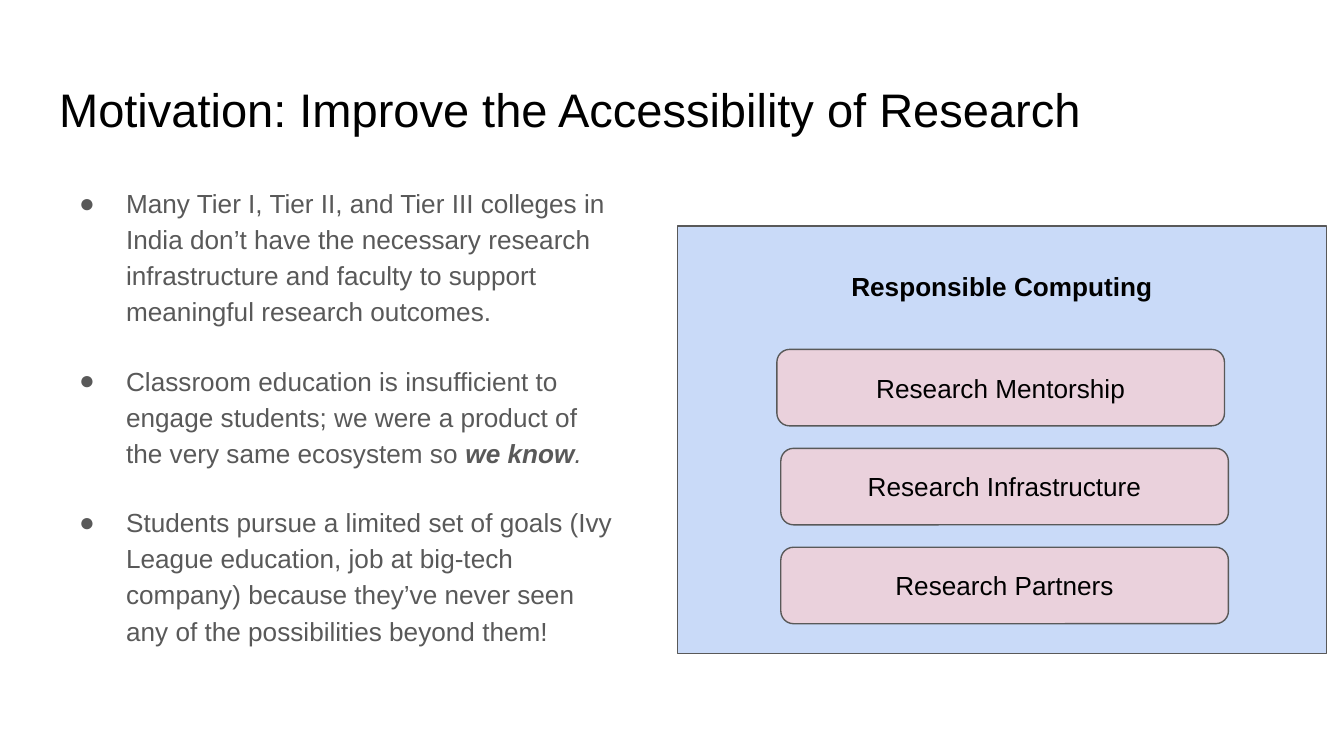
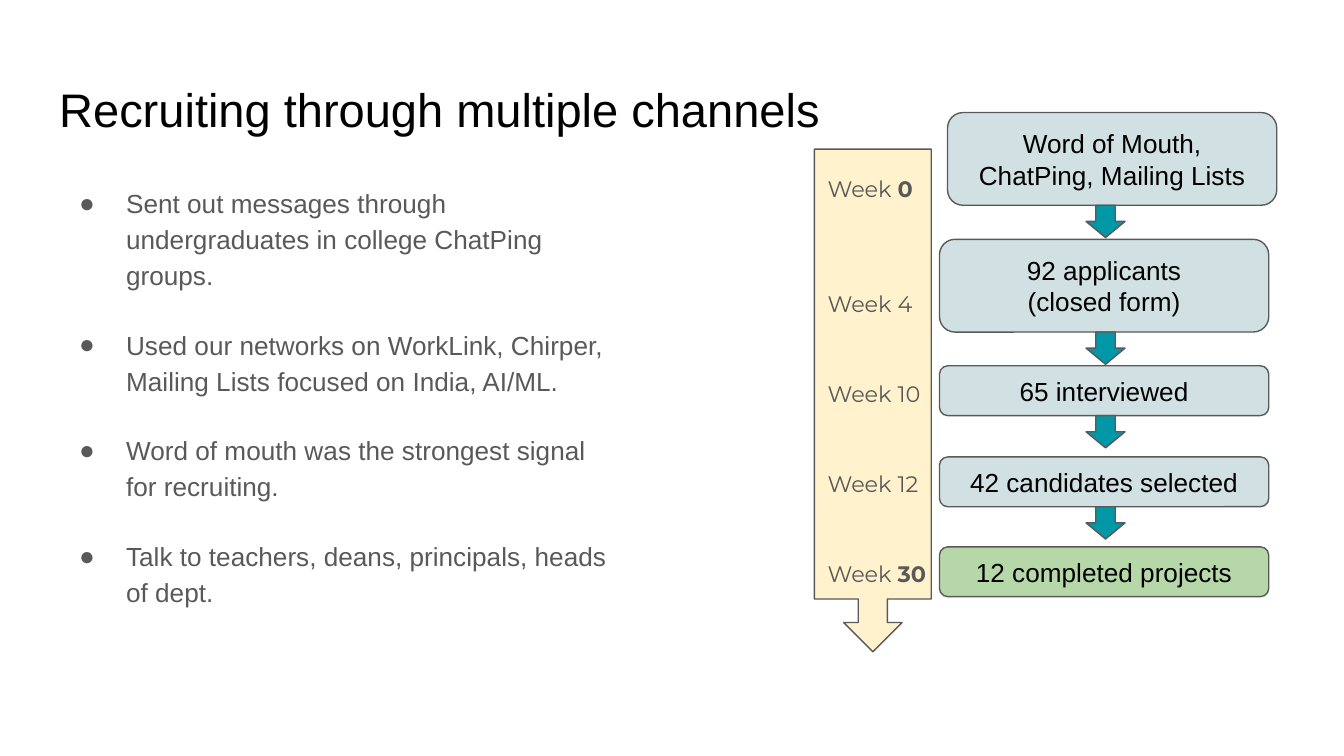
"""Builds two slides on research accessibility and participant recruiting."""
from dataclasses import dataclass

from lxml.etree import SubElement
from pptx import Presentation
from pptx.dml.color import RGBColor
from pptx.enum.shapes import MSO_SHAPE as Preset
from pptx.enum.text import MSO_ANCHOR as Anchor, MSO_AUTO_SIZE as AutoSize, PP_ALIGN as Align
from pptx.oxml.ns import qn
from pptx.util import Pt


@dataclass(frozen=True)
class Theme:
    font: str = "Arial"
    label_font: str = "Montserrat"
    title_size: float = 25.2
    body_size: float = 14
    label_size: float = 12
    ink: str = "000000"
    gray: str = "595959"
    panel: str = "C9DAF8"
    pillar: str = "EAD1DC"
    timeline: str = "FFF2CC"
    stage: str = "D0E0E3"
    finish: str = "B6D7A8"
    arrow: str = "0097A7"
    line_width: float = 0.75
    inset: float = 7.2


THEME = Theme()
TITLE_BOX = (24.5, 35.3, 671, 45.4)
BODY_BOX = (24.5, 90.7, 314.6, 269.3)
BULLET_INDENT, BULLET_HANG, BULLET_GAP = 36, 25.2, 18

MOTIVATION_TITLE = "Motivation: Improve the Accessibility of Research"
MOTIVATION_POINTS = [
    [("Many Tier I, Tier II, and Tier III colleges in India don’t have the necessary "
      "research infrastructure and faculty to support meaningful research outcomes.", "")],
    [("Classroom education is insufficient to engage students; we were a product of "
      "the very same ecosystem so ", ""), ("we know", "bi"), (".", "i")],
    [("Students pursue a limited set of goals (Ivy League education, job at big-tech "
      "company) because they’ve never seen any of the possibilities beyond them!", "")],
]
PANEL_TITLE = "Responsible Computing"
PANEL_BOX = (362.9, 121, 347.8, 229)
PANEL_TITLE_INSET = 24
PILLARS = [("Research Mentorship", 416.2), ("Research Infrastructure", 418.3),
           ("Research Partners", 418.3)]
PILLAR_TOP, PILLAR_STEP, PILLAR_WIDTH, PILLAR_HEIGHT = 187.2, 53, 239.8, 41

RECRUITING_TITLE = "Recruiting through multiple channels"
RECRUITING_POINTS = [
    [("Sent out messages through undergraduates in college ChatPing groups.", "")],
    [("Used our networks on WorkLink, Chirper, Mailing Lists focused on India, AI/ML.", "")],
    [("Word of mouth was the strongest signal for recruiting.", "")],
    [("Talk to teachers, deans, principals, heads of dept.", "")],
]
TIMELINE_BOX = (436.3, 79.9, 62.6, 269.3)
TIMELINE_ADJUSTMENTS = (0.25, 0.25, 0.25, 0.895)
WEEKS = [
    ([("Week ", ""), ("0", "b")], 86.4),
    ([("Week 4", "")], 148.3),
    ([("Week 10", "")], 196.6),
    ([("Week 12", "")], 244.8),
    ([("Week ", ""), ("30", "b")], 293),
]
WEEK_WIDTH, WEEK_HEIGHT = 98.6, 35.3
STAGES = [
    ("Word of Mouth, ChatPing, Mailing Lists", 507.6, 60.3, 49.7),
    ("92 applicants\n(closed form)", 503.3, 128.2, 49.7),
    ("65 interviewed", 503.3, 196, 26.7),
    ("42 candidates selected", 503.3, 244.8, 26.7),
    ("12 completed projects", 503.3, 293, 26.7),
]
STAGE_WIDTH = 176.4
ARROW_LEFT, ARROW_WIDTH, ARROW_HEIGHT = 581.8, 20.9, 17.3


def points(box):
    """Convert a box of numbers to lengths."""
    return [Pt(value) for value in box]


def format_run(run, size, color, font=THEME.font, style=""):
    """Give a run its font, size, colour and emphasis."""
    run.font.name = font
    run.font.size = Pt(size)
    run.font.color.rgb = RGBColor.from_string(color)
    run.font.bold = "b" in style
    run.font.italic = "i" in style


def prepare_frame(frame, anchor=Anchor.TOP):
    """Set insets, wrapping and anchor of a text frame."""
    frame.word_wrap = True
    frame.auto_size = AutoSize.NONE
    frame.vertical_anchor = anchor
    frame.margin_left = frame.margin_right = Pt(THEME.inset)
    frame.margin_top = frame.margin_bottom = Pt(THEME.inset)


def add_runs(paragraph, runs, size, font):
    """Write styled pieces of gray text into a paragraph."""
    for text, style in runs:
        run = paragraph.add_run()
        run.text = text
        format_run(run, size, THEME.gray, font, style)


def add_block(slide, preset, box, fill, text="", style="", anchor=Anchor.MIDDLE):
    """Draw an outlined preset shape with centred text."""
    shape = slide.shapes.add_shape(preset, *points(box))
    shape.shadow.inherit = False
    shape.fill.solid()
    shape.fill.fore_color.rgb = RGBColor.from_string(fill)
    shape.line.color.rgb = RGBColor.from_string(THEME.gray)
    shape.line.width = Pt(THEME.line_width)
    if text:
        prepare_frame(shape.text_frame, anchor)
        shape.text_frame.text = text
        for paragraph in shape.text_frame.paragraphs:
            paragraph.alignment = Align.CENTER
            format_run(paragraph.runs[0], THEME.body_size, THEME.ink, style=style)
    return shape


def add_bullet(paragraph):
    """Give a paragraph a hanging round bullet."""
    properties = paragraph._p.get_or_add_pPr()
    properties.set("marL", str(Pt(BULLET_INDENT)))
    properties.set("indent", str(-Pt(BULLET_HANG)))
    color = SubElement(properties, qn("a:buClr"))
    SubElement(color, qn("a:srgbClr"), val=THEME.gray)
    SubElement(properties, qn("a:buFont"), typeface=THEME.font)
    SubElement(properties, qn("a:buChar"), char="●")


def add_text_slide(presentation, title, bullets):
    """Add a slide with its title and bulleted text."""
    slide = presentation.slides.add_slide(presentation.slide_layouts[5])
    heading = slide.shapes.title
    heading.left, heading.top, heading.width, heading.height = points(TITLE_BOX)
    prepare_frame(heading.text_frame, Anchor.MIDDLE)
    heading.text_frame.text = title
    paragraph = heading.text_frame.paragraphs[0]
    paragraph.alignment = Align.LEFT
    format_run(paragraph.runs[0], THEME.title_size, THEME.ink)

    frame = slide.shapes.add_textbox(*points(BODY_BOX)).text_frame
    prepare_frame(frame)
    for index, runs in enumerate(bullets):
        paragraph = frame.add_paragraph() if index else frame.paragraphs[0]
        add_bullet(paragraph)
        paragraph.line_spacing = 1.15
        paragraph.space_before = Pt(BULLET_GAP if index else 0)
        add_runs(paragraph, runs, THEME.body_size, THEME.font)
    return slide


def build_motivation(presentation):
    """Build the slide with the panel of research pillars."""
    slide = add_text_slide(presentation, MOTIVATION_TITLE, MOTIVATION_POINTS)
    panel = add_block(slide, Preset.RECTANGLE, PANEL_BOX, THEME.panel,
                      PANEL_TITLE, "b", Anchor.TOP)
    panel.text_frame.margin_top = Pt(PANEL_TITLE_INSET)
    for index, (text, left) in enumerate(PILLARS):
        box = (left, PILLAR_TOP + index * PILLAR_STEP, PILLAR_WIDTH, PILLAR_HEIGHT)
        add_block(slide, Preset.ROUNDED_RECTANGLE, box, THEME.pillar, text)


def build_recruiting(presentation):
    """Build the slide with the timeline and recruiting funnel."""
    slide = add_text_slide(presentation, RECRUITING_TITLE, RECRUITING_POINTS)
    timeline = add_block(slide, Preset.DOWN_ARROW_CALLOUT, TIMELINE_BOX, THEME.timeline)
    for index, value in enumerate(TIMELINE_ADJUSTMENTS):
        timeline.adjustments[index] = value
    for runs, top in WEEKS:
        box = (TIMELINE_BOX[0], top, WEEK_WIDTH, WEEK_HEIGHT)
        frame = slide.shapes.add_textbox(*points(box)).text_frame
        prepare_frame(frame)
        add_runs(frame.paragraphs[0], runs, THEME.label_size, THEME.label_font)
    for index, (text, left, top, height) in enumerate(STAGES):
        is_last = index == len(STAGES) - 1
        add_block(slide, Preset.ROUNDED_RECTANGLE, (left, top, STAGE_WIDTH, height),
                  THEME.finish if is_last else THEME.stage, text)
        if not is_last:
            arrow_box = (ARROW_LEFT, top + height, ARROW_WIDTH, ARROW_HEIGHT)
            add_block(slide, Preset.DOWN_ARROW, arrow_box, THEME.arrow)


def main():
    """Build and save the presentation."""
    presentation = Presentation()
    presentation.slide_width, presentation.slide_height = Pt(720), Pt(405)
    build_motivation(presentation)
    build_recruiting(presentation)
    presentation.save("out.pptx")


if __name__ == "__main__":
    main()
